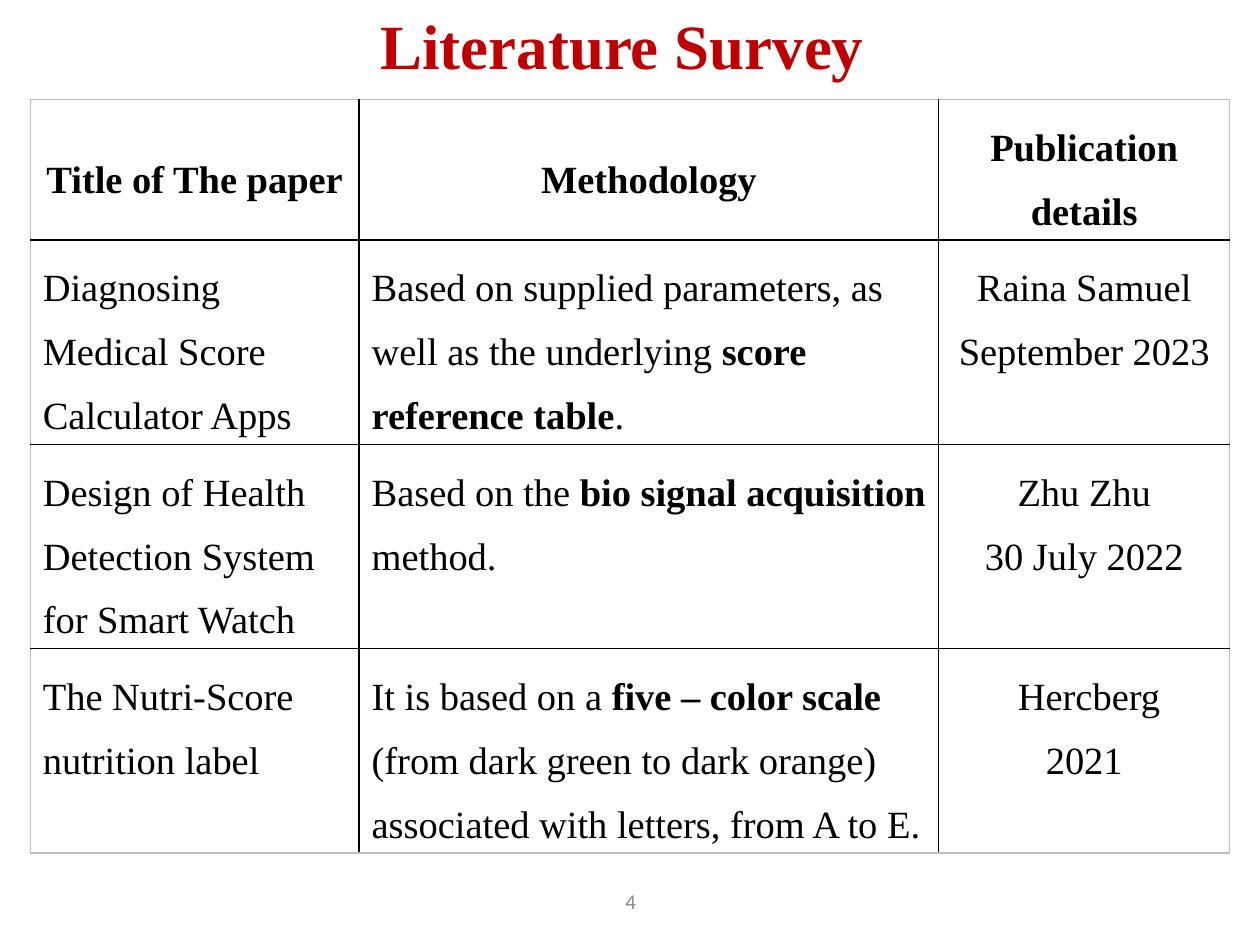
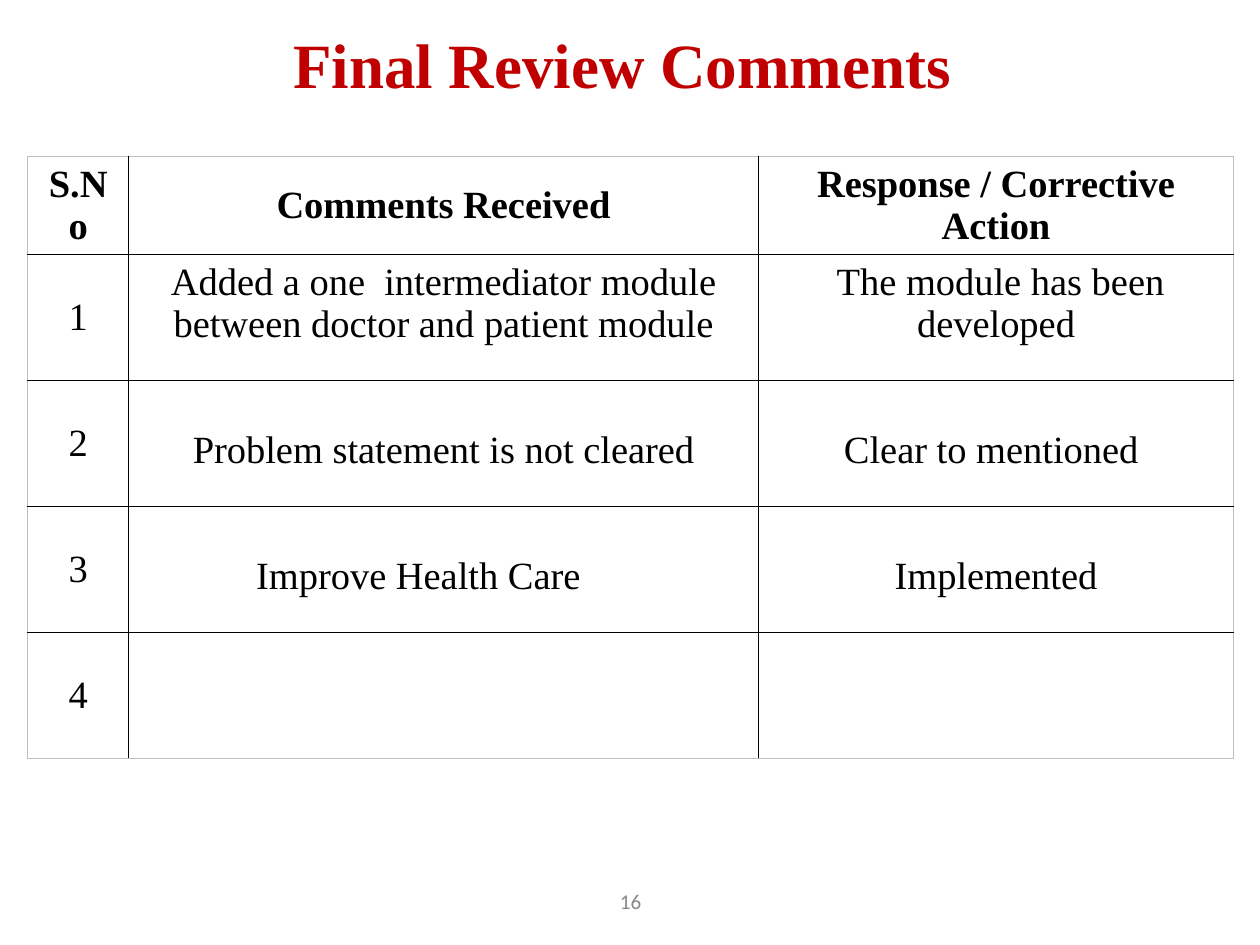
"""Build the literature survey and final review comments slides."""
import pptx
import pptx.util
import pptx.dml.color
import pptx.enum.text
import pptx.oxml
import pptx.oxml.ns

Inches = pptx.util.Inches
Pt = pptx.util.Pt
ALIGN = pptx.enum.text.PP_ALIGN
ANCHOR = pptx.enum.text.MSO_ANCHOR

SERIF, SANS = "Times New Roman", "Calibri"
RED, BLACK, GREY, EDGE = "C00000", "000000", "888888", "BFBFBF"

SURVEY = [
    ["*Title of The paper", "*Methodology", "*Publication details"],
    ["Diagnosing Medical Score Calculator Apps",
     "Based on supplied parameters, as well as the underlying *score reference table*.",
     "Raina Samuel\nSeptember 2023"],
    ["Design of Health Detection System for Smart Watch",
     "Based on the *bio signal acquisition *method.",
     "Zhu Zhu\n30 July 2022"],
    ["The Nutri-Score nutrition label",
     "It is based on a *five – color scale *(from dark green to dark orange)\n"
     "associated with letters, from A to E.",
     " Hercberg\n2021"],
]
COMMENTS = [
    ["*S.No", "*Comments Received", "*Response / Corrective Action"],
    ["1", "Added a one  intermediator module between doctor and patient module",
     " The module has been developed"],
    ["2", "Problem statement is not cleared", "Clear to mentioned "],
    ["3", "Improve Health Care", "Implemented"],
    ["4", "", ""],
]


def rgb(value):
    return pptx.dml.color.RGBColor.from_string(value)


def add_run(p, text, size, color, font=SERIF, bold=False):
    r = p.add_run()
    r.text = text
    r.font.size = Pt(size)
    r.font.name = font
    r.font.bold = bold
    r.font.color.rgb = rgb(color)


def add_slide(prs, title, top, number):
    s = prs.slides.add_slide(prs.slide_layouts[5])
    sp = s.shapes.title
    sp.left, sp.top, sp.width, sp.height = Inches(0), Inches(top), Inches(10), Inches(0.7)
    write_line(sp.text_frame, title, 36, RED, SERIF, True)
    box = s.shapes.add_textbox(Inches(3.42), Inches(6.95), Inches(3.17), Inches(0.4))
    write_line(box.text_frame, number, 12, GREY, SANS)
    return s


def write_line(tf, text, size, color, font, bold=False):
    tf.word_wrap = True
    tf.auto_size = pptx.enum.text.MSO_AUTO_SIZE.NONE
    tf.vertical_anchor = ANCHOR.MIDDLE
    p = tf.paragraphs[0]
    p.alignment = ALIGN.CENTER
    add_run(p, text, size, color, font, bold)


def set_borders(cell, colors):
    tc_pr = cell._tc.get_or_add_tcPr()
    for i, (side, color) in enumerate(zip("LRTB", colors)):
        tc_pr.insert(i, pptx.oxml.parse_xml(
            f'<a:ln{side} {pptx.oxml.ns.nsdecls("a")} w="12700"><a:solidFill>'
            f'<a:srgbClr val="{color}"/></a:solidFill></a:ln{side}>'))


def fill_cell(cell, text, align, spacing):
    tf = cell.text_frame
    for i, line in enumerate(text.split("\n")):
        p = tf.add_paragraph() if i else tf.paragraphs[0]
        p.alignment = align
        p.line_spacing = spacing
        for j, part in enumerate(line.split("*")):
            if part:
                add_run(p, part, 22, BLACK, bold=j % 2 == 1)


def add_table(s, rows, left, top, widths, heights, align, anchor, spacing):
    n, m = len(rows), len(widths)
    table = s.shapes.add_table(n, m, Inches(left), Inches(top),
                               Inches(sum(widths)), Inches(sum(heights))).table
    table.first_row = table.horz_banding = False
    for col, width in zip(table.columns, widths):
        col.width = Inches(width)
    for i, (row, height) in enumerate(zip(rows, heights)):
        table.rows[i].height = Inches(height)
        for j, text in enumerate(row):
            cell = table.cell(i, j)
            cell.fill.background()
            outer = (j == 0, j == m - 1, i == 0, i == n - 1)
            set_borders(cell, [EDGE if edge else BLACK for edge in outer])
            cell.vertical_anchor = anchor(i, j)
            fill_cell(cell, text, align(i, j), spacing(i, j))
    return table


def main():
    prs = pptx.Presentation()
    prs.slide_width, prs.slide_height = Inches(10), Inches(7.5)

    s = add_slide(prs, "Literature Survey ", 0, "4")
    add_table(s, SURVEY, 0.24, 0.79, [2.61, 4.6, 2.31], [1.11] + [1.62] * 3,
              align=lambda i, j: ALIGN.CENTER if i == 0 or j == 2 else ALIGN.LEFT,
              anchor=lambda i, j: ANCHOR.TOP if i else ANCHOR.MIDDLE,
              spacing=lambda i, j: 1.5)

    s = add_slide(prs, "Final Review Comments ", 0.15, "16")
    table = add_table(s, COMMENTS, 0.22, 1.24, [0.8, 5, 3.77], [0.78] + [1] * 4,
                      align=lambda i, j: ALIGN.CENTER,
                      anchor=lambda i, j: ANCHOR.TOP if i and j else ANCHOR.MIDDLE,
                      spacing=lambda i, j: 2.0 if i in (2, 3) and j else 1.0)
    table.cell(3, 1).margin_right = Inches(0.5)

    prs.save("out.pptx")


if __name__ == "__main__":
    main()
